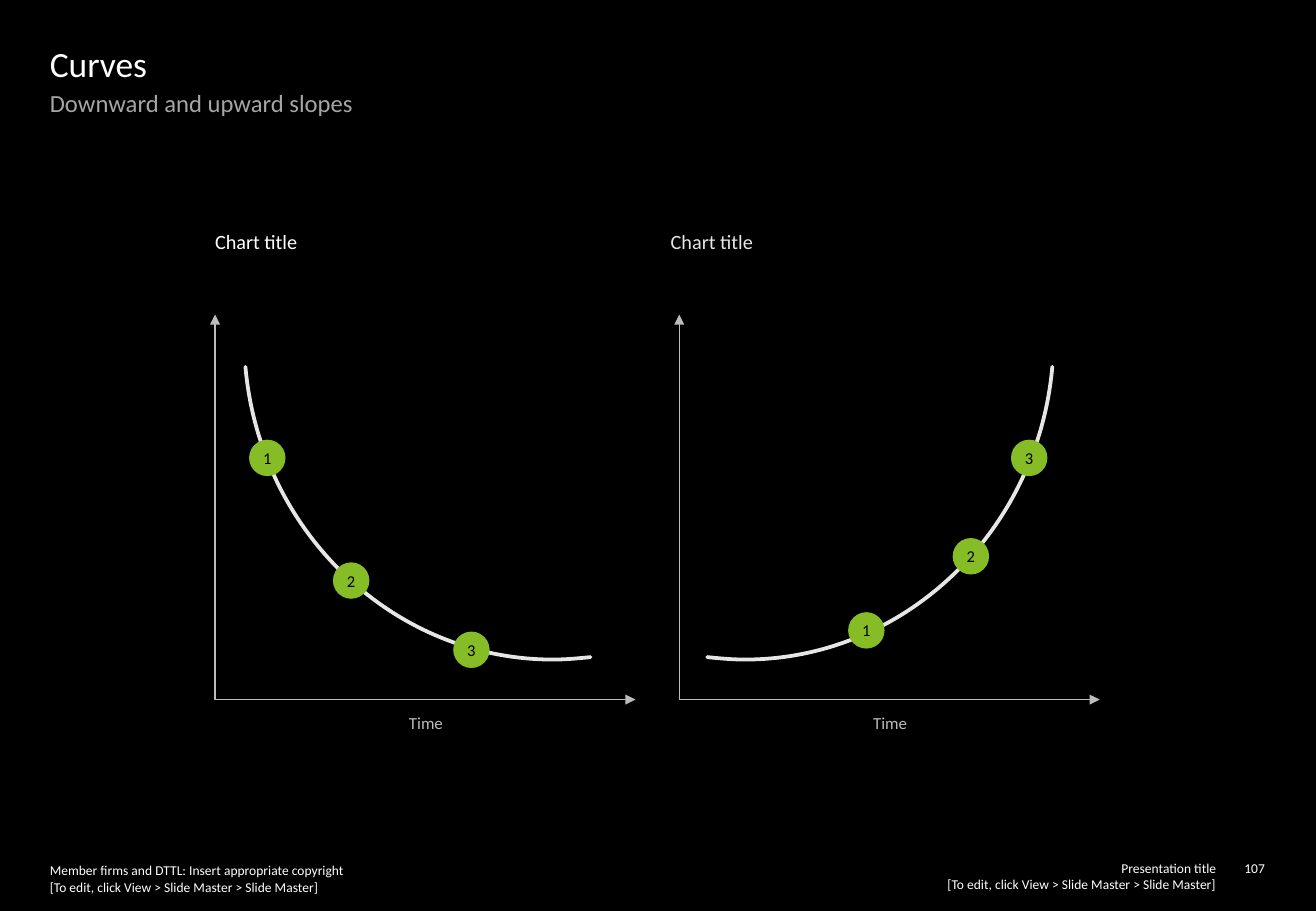
import pptx
import pptx.util
import pptx.dml.color
import pptx.enum.shapes
import pptx.enum.text
import pptx.oxml.ns
from lxml import etree

Inches, Pt, qn = pptx.util.Inches, pptx.util.Pt, pptx.oxml.ns.qn
RGB = pptx.dml.color.RGBColor
ALIGN = pptx.enum.text.PP_ALIGN
AUTO_SIZE = pptx.enum.text.MSO_AUTO_SIZE
WHITE, BLACK = RGB(255, 255, 255), RGB(0, 0, 0)
LIGHT, SUBTITLE = RGB(0xE7, 0xE6, 0xE6), RGB(0xA6, 0xA6, 0xA6)
AXIS, GREEN = RGB(0xBB, 0xBC, 0xBC), RGB(0x86, 0xBC, 0x25)

EDIT_HINT = "[To edit, click View > Slide Master > Slide Master]"
# text, (left, top, width, height), size, colour, alignment, box grows with text
TEXTS = [
    ("Presentation title\v" + EDIT_HINT, (5.66, 7.08, 4.35, 0.27), 8, WHITE, ALIGN.RIGHT, True),
    ("Member firms and DTTL: Insert appropriate copyright\v" + EDIT_HINT,
     (0.41, 7.1, 4.76, 0.27), 8, WHITE, ALIGN.LEFT, True),
    ("107", (10.14, 7.08, 0.27, 0.13), 8, WHITE, ALIGN.RIGHT, True),
    ("Chart title", (1.77, 1.89, 3.53, 3.79), 12, WHITE, ALIGN.LEFT, False),
    ("Chart title", (5.52, 1.89, 4.87, 4.67), 12, LIGHT, ALIGN.LEFT, False),
    ("Downward and upward slopes", (0.41, 0.72, 10.02, 0.83), 14.6, SUBTITLE, ALIGN.LEFT, False),
    ("Curves", (0.41, 0.35, 10.02, 0.37), 21, WHITE, ALIGN.LEFT, False),
]
# direction is the side of the curve's centre on which it rises
CHARTS = [
    dict(axis_left=1.77, center=4.55, direction=-1,
         markers=[("1", 2.05, 3.62), ("2", 2.74, 4.63), ("3", 3.73, 5.2)]),
    dict(axis_left=5.59, center=6.13, direction=1,
         markers=[("3", 8.32, 3.62), ("2", 7.84, 4.43), ("1", 6.98, 5.04)]),
]
AXIS_TOP, AXIS_BOTTOM, AXIS_WIDTH = 2.59, 5.76, 3.46
CURVE_CENTER_Y = 2.79
# Bezier points from the flat end up to the steep end, measured from the centre
CURVE = [(-0.31, 2.62), (-0.21, 2.63), (-0.11, 2.64), (0, 2.64),
         (1.31, 2.64), (2.41, 1.59), (2.53, 0.23)]
MARKER = 0.3

prs = pptx.Presentation()
prs.slide_width, prs.slide_height = Inches(10.83), Inches(7.5)
s = prs.slides.add_slide(prs.slide_layouts[6])
s.background.fill.solid()
s.background.fill.fore_color.rgb = BLACK


def write(sp, text, size, color, align, inset=0):
    tf = sp.text_frame
    tf.word_wrap = True
    tf.margin_left = tf.margin_top = tf.margin_right = tf.margin_bottom = Inches(inset)
    p = tf.paragraphs[0]
    p.text = text
    p.alignment = align
    p.font.name, p.font.size, p.font.color.rgb = "Calibri", Pt(size), color


def add_text(text, box, size, color, align, grows):
    sp = s.shapes.add_textbox(*map(Inches, box))
    write(sp, text, size, color, align)
    sp.text_frame.auto_size = AUTO_SIZE.SHAPE_TO_FIT_TEXT if grows else AUTO_SIZE.NONE


def add_path(points, color, width):
    """Add an open, unfilled line through points given in inches."""
    points = [(Inches(x), Inches(y)) for x, y in points]
    builder = s.shapes.build_freeform(*points[0])
    builder.add_line_segments(points[1:], close=False)
    sp = builder.convert_to_shape()
    sp.shadow.inherit = False
    sp.fill.background()
    sp.line.color.rgb, sp.line.width = color, Pt(width)
    return sp


def add_axes(left):
    sp = add_path([(left, AXIS_TOP), (left, AXIS_BOTTOM), (left + AXIS_WIDTH, AXIS_BOTTOM)],
                  AXIS, 0.75)
    ln = sp.line._get_or_add_ln()
    for end in ("a:headEnd", "a:tailEnd"):
        etree.SubElement(ln, qn(end), type="triangle")


def add_curve(center, direction):
    """Turn a polygon through the Bezier points and the centre into two cubic curves."""
    sp = add_path([(center + direction * x, CURVE_CENTER_Y + y) for x, y in CURVE + [(0, 0)]],
                  LIGHT, 2.25)
    sp.line._get_or_add_ln().set("cap", "rnd")
    path = next(sp._element.iter(qn("a:path")))
    lines = path.findall(qn("a:lnTo"))
    for line in lines:
        path.remove(line)
    for start in (0, 3):
        cubic = etree.SubElement(path, qn("a:cubicBezTo"))
        cubic.extend([line[0] for line in lines[start:start + 3]])


def add_marker(label, left, top):
    sp = s.shapes.add_shape(pptx.enum.shapes.MSO_SHAPE.OVAL,
                            *map(Inches, (left, top, MARKER, MARKER)))
    sp.shadow.inherit = False
    sp.fill.solid()
    sp.fill.fore_color.rgb = GREEN
    sp.line.fill.background()
    sp.text_frame.vertical_anchor = pptx.enum.text.MSO_ANCHOR.MIDDLE
    write(sp, label, 9.8, BLACK, ALIGN.CENTER, inset=0.03)


for item in TEXTS:
    add_text(*item)
for chart in CHARTS:
    add_axes(chart["axis_left"])
    add_curve(chart["center"], chart["direction"])
    for marker in chart["markers"]:
        add_marker(*marker)
    add_text("Time", (chart["axis_left"] + 1.33, 5.87, 0.81, 0.17), 10, AXIS, ALIGN.CENTER, True)

prs.save("out.pptx")
